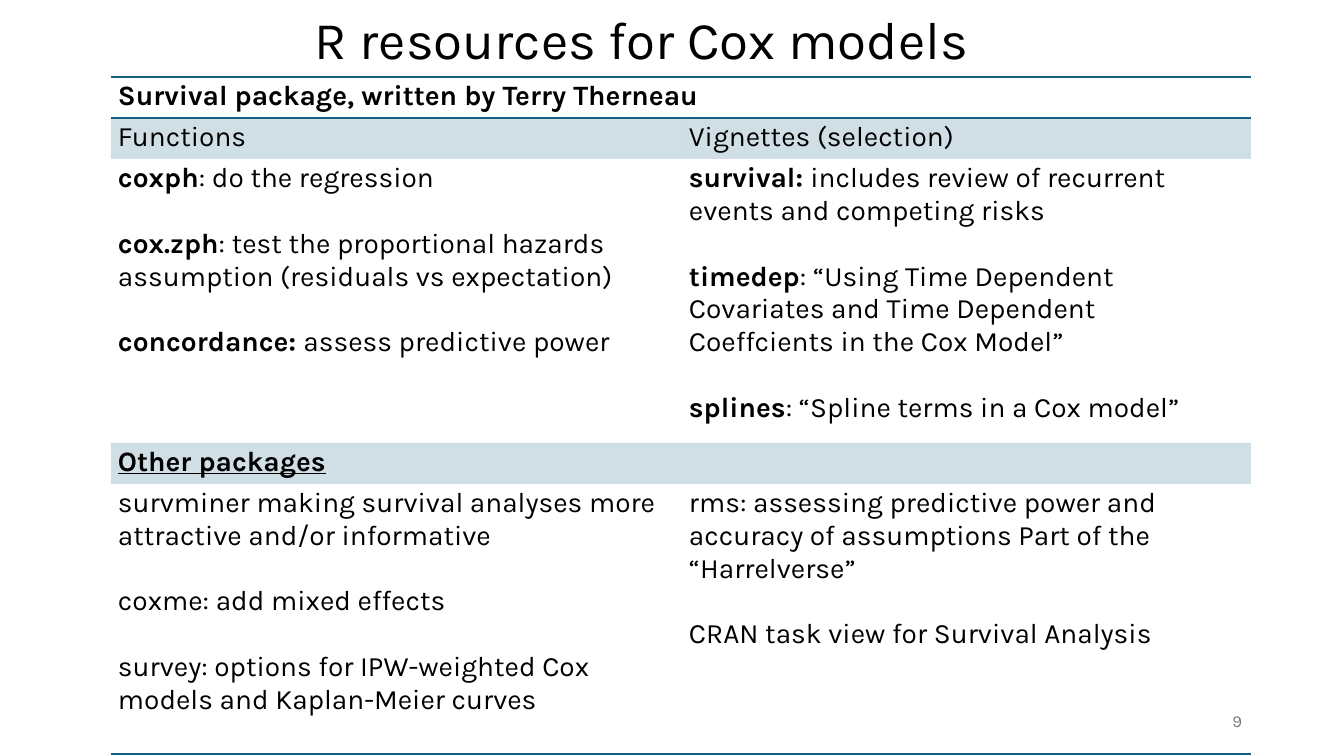
from pptx import Presentation, util as u
from pptx.dml.color import RGBColor
from pptx.enum import text
from pptx.oxml import parse_xml
from pptx.oxml.ns import nsdecls, qn

TITLE = "R resources for Cox models"
PAGE = "9"
ROWS = [
    (41, "line", [["Survival package, written by Terry Therneau|"]]),
    (41, "tint", [["Functions"], ["Vignettes (selection)"]]),
    (284, "", [
        ["coxph|: do the regression",
         "cox.zph|: test the proportional hazards assumption (residuals vs expectation)",
         "concordance: |assess predictive power"],
        ["survival: |includes review of recurrent events and competing risks",
         "timedep|: “Using Time Dependent Covariates and Time Dependent\n"
         "Coeffcients in the Cox Model”",
         "splines|: “Spline terms in a Cox model”"]]),
    (41, "tint under", [["Other packages|"]]),
    (270, "end", [
        ["survminer making survival analyses more attractive and/or informative",
         "coxme: add mixed effects",
         "survey: options for IPW-weighted Cox models and Kaplan-Meier curves"],
        ["rms: assessing predictive power and accuracy of assumptions Part of the “Harrelverse”",
         "CRAN task view for Survival Analysis"]]),
]
COLS = [571, 569]
EDGES = {"line": ("lnT", "lnB"), "end": ("lnB",)}
THEME = dict(font="Karla", ink="000000", blue="156082", grey="797979",
             title=37.8, body=20, page=12, gap=23.4, alpha=20000)
NO_STYLE = "{2D5ABB26-0587-4C30-8999-92F81FD0307C}"
PX = 12192000 / 1344


def px(n):
    return u.Emu(round(n * PX))


def style(para, size, color="ink"):
    font = para.font
    font.name, font.size = THEME["font"], u.Pt(THEME[size])
    font.color.rgb = RGBColor.from_string(THEME[color])


def label(words, box, size, color, align, anchor):
    frame = slide.shapes.add_textbox(*map(px, box)).text_frame
    frame.word_wrap, frame.vertical_anchor = True, anchor
    para = frame.paragraphs[0]
    para.text, para.alignment = words, align
    style(para, size, color)
    return para


def write(cell, blocks, under):
    lines = [(i > 0 and j == 0, line) for i, block in enumerate(blocks)
             for j, line in enumerate(block.split("\n"))]
    frame = cell.text_frame
    for n, (gap, line) in enumerate(lines):
        para = frame.add_paragraph() if n else frame.paragraphs[0]
        style(para, "body")
        if gap:
            para.space_before = u.Pt(THEME["gap"])
        bold, _, plain = line.rpartition("|")
        for words, heavy in ((bold, True), (plain, False)):
            if words:
                run = para.add_run()
                run.text, run.font.bold = words, heavy
                if under:
                    run.font.underline = True


def dress(cell, kind):
    cell.margin_left = cell.margin_right = px(7)
    cell.margin_top = cell.margin_bottom = px(3)
    props = cell._tc.get_or_add_tcPr()
    for edge in EDGES.get(kind, ()):
        props.append(parse_xml(
            f'<a:{edge} {nsdecls("a")} w="12700"><a:solidFill>'
            f'<a:srgbClr val="{THEME["blue"]}"/></a:solidFill></a:{edge}>'))
    if "tint" in kind:
        cell.fill.solid()
        cell.fill.fore_color.rgb = RGBColor.from_string(THEME["blue"])
        tone = props.find(".//" + qn("a:srgbClr"))
        tone.append(parse_xml(f'<a:alpha {nsdecls("a")} val="{THEME["alpha"]}"/>'))
    else:
        cell.fill.background()


deck = Presentation()
deck.slide_width, deck.slide_height = px(1344), px(756)
slide = deck.slides.add_slide(deck.slide_layouts[6])

head = label(TITLE, (305, 17, 804, 59), "title", "ink",
             text.PP_ALIGN.LEFT, text.MSO_ANCHOR.BOTTOM)
head.line_spacing = 0.9

high = sum(row[0] for row in ROWS)
table = slide.shapes.add_table(len(ROWS), len(COLS), px(111), px(77),
                               px(sum(COLS)), px(high)).table
table.first_row = table.horz_banding = False
table._tbl.tblPr.find(qn("a:tableStyleId")).text = NO_STYLE
for col, wide in zip(table.columns, COLS):
    col.width = px(wide)
for r, (tall, kind, cells) in enumerate(ROWS):
    table.rows[r].height = px(tall)
    for c in range(len(COLS)):
        dress(table.cell(r, c), kind)
    if len(cells) == 1:
        table.cell(r, 0).merge(table.cell(r, 1))
    for c, blocks in enumerate(cells):
        write(table.cell(r, c), blocks, "under" in kind)

label(PAGE, (950, 701, 302, 40), "page", "grey",
      text.PP_ALIGN.RIGHT, text.MSO_ANCHOR.MIDDLE)
deck.save("out.pptx")
